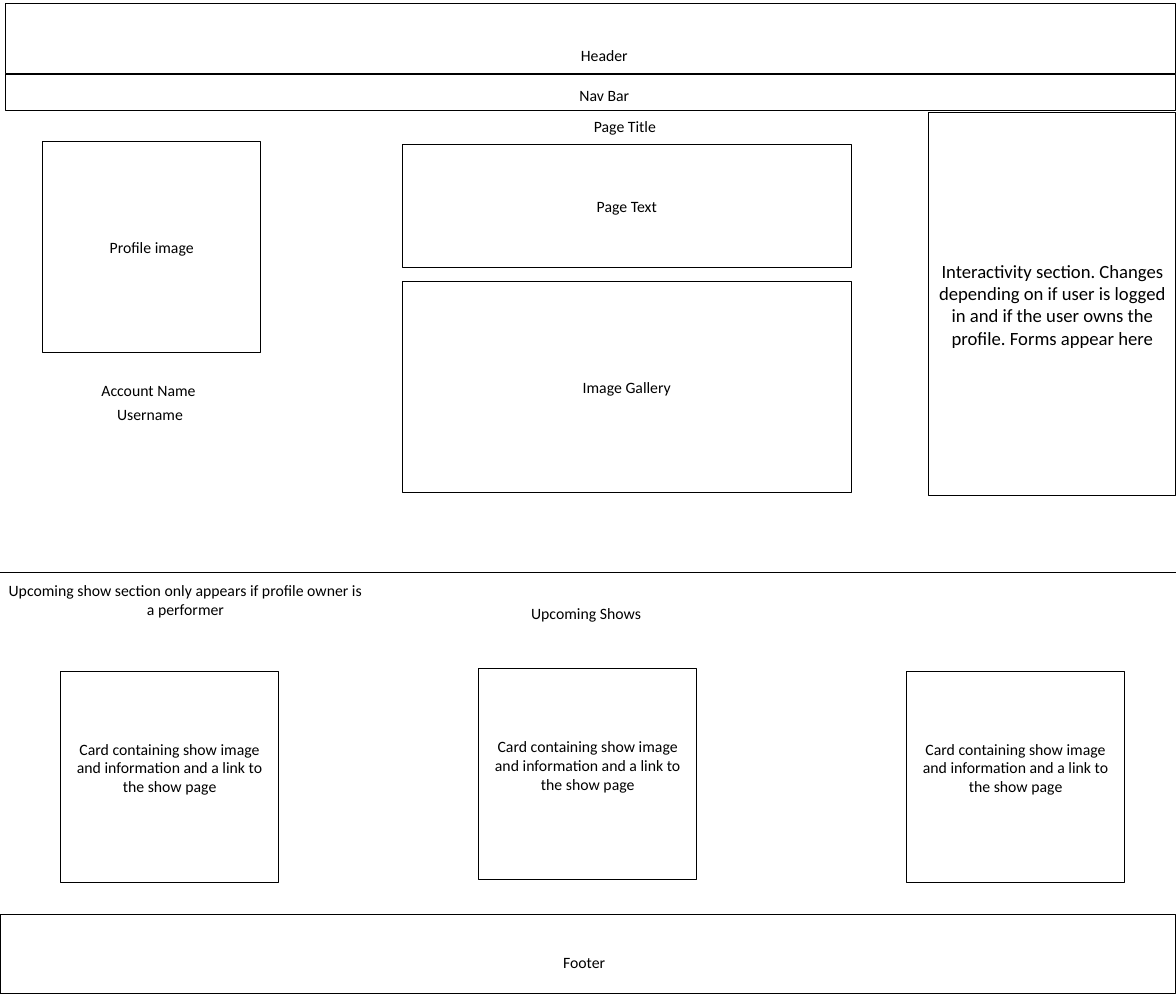
from pptx import Presentation
from pptx.dml.color import RGBColor
from pptx.enum.shapes import MSO_CONNECTOR as Connector, MSO_SHAPE as Shape
from pptx.enum.text import MSO_ANCHOR as Anchor, MSO_AUTO_SIZE as AutoSize, PP_ALIGN as Align
from pptx.oxml.xmlchemy import OxmlElement
from pptx.util import Inches, Pt

CELL = Inches(0.1)
COLUMNS, ROWS = 157.5, 400 / 3
LABEL_WIDTH, LABEL_HEIGHT = 49.7, 3.6
CARD_WIDTH, CARD_HEIGHT = 29.24, 28.24
MAIN_LEFT, MAIN_WIDTH = 53.9, 60.1
COLORS = {"ink": "000000", "paper": "FFFFFF"}
FRAME = {
    "word_wrap": True,
    "auto_size": AutoSize.NONE,
    "margin_left": Inches(0.1),
    "margin_right": Inches(0.1),
    "margin_top": Inches(0.05),
    "margin_bottom": Inches(0.05),
}
CARD_TEXT = "Card containing show image and information and a link to the show page"
INTERACTIVITY_TEXT = (
    "Interactivity section. Changes depending on if user is logged in "
    "and if the user owns the profile. Forms appear here"
)

BANDS = [(0.7, 0.44, 156.8, 9.4), (0.7, 10, 156.8, 4.8), (0, 122.44, COLUMNS, 10.5)]
PANELS = [
    ("Profile image", (5.7, 18.94, CARD_WIDTH, CARD_HEIGHT), 15.2),
    ("Page Text", (MAIN_LEFT, 19.4, MAIN_WIDTH, 16.4), 15.2),
    ("Image Gallery", (MAIN_LEFT, 37.74, MAIN_WIDTH, CARD_HEIGHT), 15.2),
    (INTERACTIVITY_TEXT, (124.4, 15.1, 33.1, 51.24), 18),
]
CARD_CORNERS = [(8.1, 89.9), (64.1, 89.54), (121.4, 89.9)]
LABELS = [
    ("Header", 80.94, 5.7),
    ("Nav Bar", 80.94, 10.94),
    ("Account Name", 19.9, 50.5),
    ("Username", 20.1, 53.7),
    ("Upcoming Shows", 78.5, 80.3),
    ("Footer", 78.24, 127.1),
]


def color(name):
    return RGBColor.from_string(COLORS[name])


def cells(*lengths):
    return [round(length * CELL) for length in lengths]


def apply(target, values):
    for name, value in values.items():
        setattr(target, name, value)


def write(box, text, size=15.2, anchor=Anchor.TOP, **extra):
    frame = box.text_frame
    apply(frame, {**FRAME, "vertical_anchor": anchor, **extra})
    para = frame.paragraphs[0]
    apply(para, {"alignment": Align.CENTER, "line_spacing": 1.0, "space_before": Pt(0)})
    span = para.add_run()
    span.text = text
    apply(span.font, {"name": "Calibri", "size": Pt(size)})
    span.font.color.rgb = color("ink")


def add_outline(page, area):
    box = page.shapes.add_shape(Shape.RECTANGLE, *cells(*area))
    box.shadow.inherit = False
    box.fill.background()
    box.line.color.rgb = color("ink")
    box.line.width = Pt(1)
    return box


def add_panel(page, text, area, size=15.2, **extra):
    write(add_outline(page, area), text, size, Anchor.MIDDLE, **extra)


def label_area(center, top, height=LABEL_HEIGHT):
    return center - LABEL_WIDTH / 2, top, LABEL_WIDTH, height


def add_label(page, text, center, top, height=LABEL_HEIGHT):
    box = page.shapes.add_textbox(*cells(*label_area(center, top, height)))
    write(box, text)


def add_title(page, text, center, top):
    box = page.shapes.title
    area = cells(*label_area(center, top))
    apply(box, dict(zip(("left", "top", "width", "height"), area)))
    write(box, text)


def add_divider(page, row):
    line = page.shapes.add_connector(Connector.STRAIGHT, *cells(0, row, COLUMNS, row))
    line.line.color.rgb = color("ink")
    line.line.width = Pt(0.5)
    line._element.spPr.append(OxmlElement("a:effectLst"))


def main():
    deck = Presentation()
    deck.slide_width, deck.slide_height = cells(COLUMNS, ROWS)
    deck.element.sldSz.attrib.pop("type", None)
    page = deck.slides.add_slide(deck.slide_layouts.get_by_name("Title Only"))
    page.background.fill.solid()
    page.background.fill.fore_color.rgb = color("paper")

    for area in BANDS:
        add_outline(page, area)
    for text, area, size in PANELS:
        add_panel(page, text, area, size)
    for left, top in CARD_CORNERS:
        area = (left, top, CARD_WIDTH, CARD_HEIGHT)
        add_panel(page, CARD_TEXT, area, margin_bottom=Inches(0.3))
    add_title(page, "Page Title", 83.7, 15.1)
    for text, center, top in LABELS:
        add_label(page, text, center, top)
    add_divider(page, 76.64)
    note = "Upcoming show section only appears if profile owner is a performer"
    add_label(page, note, LABEL_WIDTH / 2, 77.24, 6.1)

    deck.save("out.pptx")


main()
